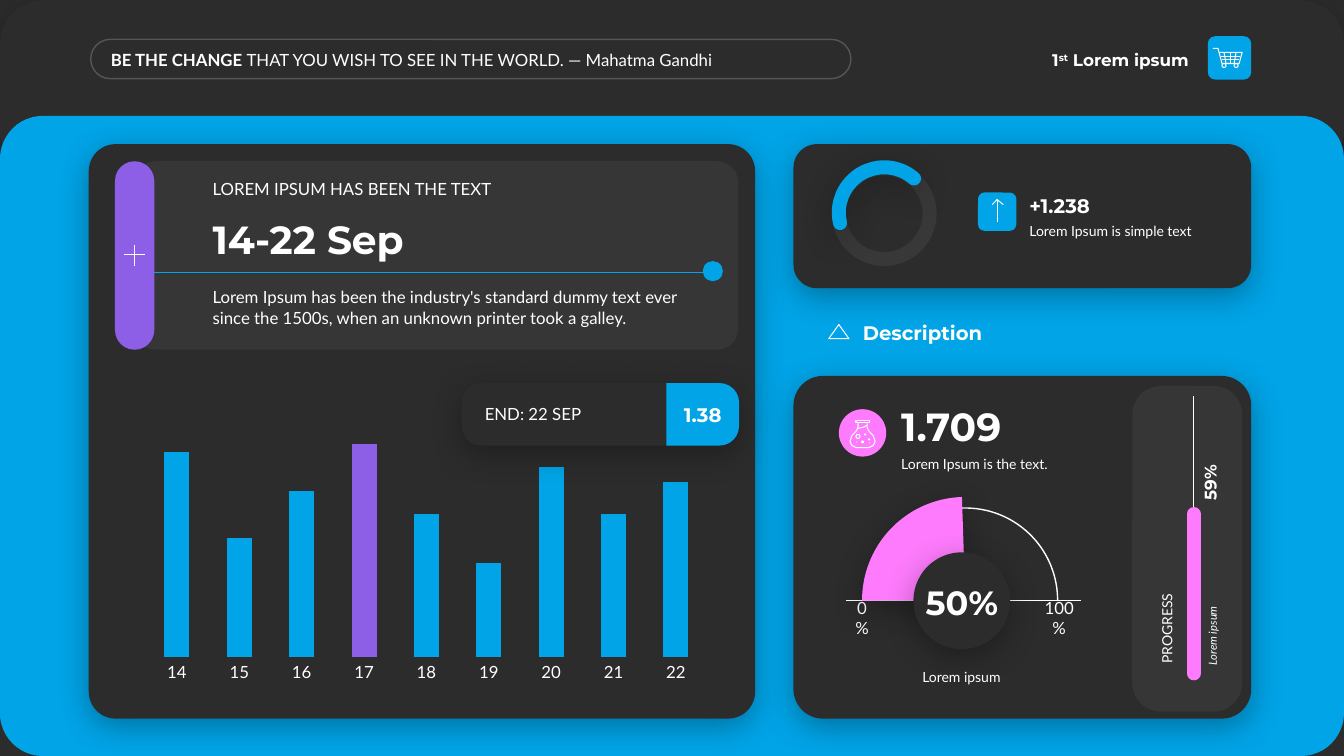
from pptx import Presentation
from pptx.chart.data import CategoryChartData
from pptx.dml.color import RGBColor
from pptx.enum import chart as ch, shapes as sh, text as tx
from pptx.oxml import parse_xml
from pptx.oxml.ns import nsdecls, qn
from pptx.util import Inches, Pt

HUES = {"dark": "2C2C2C", "blue": "01A4E7", "white": "FFFFFF",
        "violet": "8D5FE6", "pink": "FD7BFC"}
RGB = {name: RGBColor.from_string(code) for name, code in HUES.items()}
KIND = sh.MSO_SHAPE
ROUND, OVAL, ARC = KIND.ROUNDED_RECTANGLE, KIND.OVAL, KIND.ARC
LEFT, MID, RIGHT = tx.PP_ALIGN.LEFT, tx.PP_ALIGN.CENTER, tx.PP_ALIGN.RIGHT
TOP, CENTER, LOW = tx.MSO_ANCHOR.TOP, tx.MSO_ANCHOR.MIDDLE, tx.MSO_ANCHOR.BOTTOM

deck = Presentation()
deck.slide_width, deck.slide_height = Inches(13.33), Inches(7.5)
slide = deck.slides.add_slide(deck.slide_layouts[6])
slide.background.fill.solid()
slide.background.fill.fore_color.rgb = RGB["dark"]


def draw(kind, box, fill=None, line=None, width=1, adj=(), alpha=None,
         shadow=False, cap=False, rot=0):
    item = slide.shapes.add_shape(kind, *map(Inches, box))
    item.rotation = rot
    for i, value in enumerate(adj):
        item.adjustments[i] = value
    item.shadow.inherit = False
    props = item._element.spPr
    if fill:
        item.fill.solid()
        item.fill.fore_color.rgb = RGB[fill]
    else:
        item.fill.background()
    if line:
        item.line.color.rgb = RGB[line]
        item.line.width = Pt(width)
    else:
        item.line.fill.background()
    if alpha:
        tint = next(props.iter(qn("a:srgbClr")))
        tint.append(parse_xml(f'<a:alpha {nsdecls("a")} val="{alpha * 1000}"/>'))
    if shadow:
        props.find(qn("a:effectLst")).append(parse_xml(
            f'<a:outerShdw {nsdecls("a")} blurRad="{Pt(23)}" dist="{Pt(6)}" dir="5400000" '
            'algn="t" rotWithShape="0"><a:srgbClr val="000000"><a:alpha val="30000"/>'
            '</a:srgbClr></a:outerShdw>'))
    if cap:
        props.find(qn("a:ln")).set("cap", "rnd")


def put(text, box, size=12, font="Lato", bold=False, italic=False, align=LEFT,
        anchor=TOP, pad=(0.1, 0.05, 0.1, 0.05), rot=0):
    item = slide.shapes.add_textbox(*map(Inches, box))
    item.rotation = rot
    frame = item.text_frame
    frame.word_wrap = True
    frame.vertical_anchor = anchor
    (frame.margin_left, frame.margin_top,
     frame.margin_right, frame.margin_bottom) = map(Inches, pad)
    para = frame.paragraphs[0]
    para.alignment = align
    parts = [(text, bold, 0)] if isinstance(text, str) else text
    for words, heavy, raised in parts:
        run = para.add_run()
        run.text = words
        run.font.size, run.font.name = Pt(size), font
        run.font.bold, run.font.italic = heavy, italic
        run.font.color.rgb = RGB["white"]
        if raised:
            run._r.get_or_add_rPr().set("baseline", str(raised * 1000))


# Backdrop and header
draw(ROUND, (0, 0, 13.33, 1.74), "dark", adj=[0.251], shadow=True)
draw(ROUND, (0, 1.15, 13.33, 6.35), "blue", adj=[0.067])
draw(ROUND, (0.9, 0.39, 7.54, 0.39), line="white", adj=[0.5], alpha=20)
draw(ROUND, (11.98, 0.36, 0.43, 0.43), "blue")

# Cards and their inner panels
for box, adj in [((0.88, 1.43, 6.61, 5.7), 0.047), ((7.87, 1.43, 4.54, 1.43), 0.163),
                 ((7.87, 3.73, 4.54, 3.4), 0.086)]:
    draw(ROUND, box, "dark", adj=[adj], shadow=True)
for box, adj in [((1.34, 1.6, 5.98, 1.87), 0.109), ((11.23, 3.83, 1.09, 3.23), 0.261)]:
    draw(ROUND, box, "white", adj=[adj], alpha=5)

# Lines: date rule, gauge base, progress track and bar
for x1, y1, x2, y2, hue, width in [
        (1.44, 2.7, 6.97, 2.7, "blue", 0.5), (8.39, 5.96, 10.72, 5.96, "white", 1),
        (11.84, 6.68, 11.84, 3.93, "white", 0.5), (11.84, 6.68, 11.84, 5.1, "pink", 10)]:
    rule = slide.shapes.add_connector(sh.MSO_CONNECTOR.STRAIGHT,
                                      *map(Inches, (x1, y1, x2, y2)))
    rule.line.color.rgb = RGB[hue]
    rule.line.width = Pt(width)
    props = rule._element.spPr
    props.append(parse_xml(f'<a:effectLst {nsdecls("a")}/>'))
    if width == 10:
        props.find(qn("a:ln")).set("cap", "rnd")

# Date panel
draw(OVAL, (6.97, 2.59, 0.2, 0.2), "blue")
draw(ROUND, (1.14, 1.6, 0.39, 1.87), "violet", adj=[0.5])

# Column chart
data = CategoryChartData()
data.categories = [str(day) for day in range(14, 23)]
data.add_series("Series 1", (96, 56, 78, 100, 67, 44, 89, 67, 82))
chart = slide.shapes.add_chart(ch.XL_CHART_TYPE.COLUMN_CLUSTERED,
                               *map(Inches, (1.33, 4.11, 5.8, 2.71)), data).chart
chart.has_legend = chart.has_title = False
chart.font.size, chart.font.name = Pt(12), "Lato"
chart.font.color.rgb = RGB["white"]
days, scale = chart.category_axis, chart.value_axis
days.major_tick_mark = ch.XL_TICK_MARK.NONE
days.format.line.fill.background()
scale.visible = scale.has_major_gridlines = False
scale.minimum_scale, scale.maximum_scale = 0, 110
plot = chart.plots[0]
plot.gap_width, plot.vary_by_categories = 150, False
bars = plot.series[0]
for target, hue in [(bars, "blue"), (bars.points[3], "violet")]:
    target.format.fill.solid()
    target.format.fill.fore_color.rgb = RGB[hue]
area = next(chart._chartSpace.iter(qn("c:plotArea")))
for old in area.findall(qn("c:layout")):
    area.remove(old)
area.insert(0, parse_xml(
    f'<c:layout {nsdecls("c")}><c:manualLayout><c:layoutTarget val="inner"/>'
    '<c:xMode val="edge"/><c:yMode val="edge"/><c:x val="0.02"/><c:y val="0.03"/>'
    '<c:w val="0.96"/><c:h val="0.86"/></c:manualLayout></c:layout>'))

# End-date tag
draw(ROUND, (4.58, 3.8, 2.74, 0.62), "dark", adj=[0.311], shadow=True)
draw(KIND.ROUND_2_SAME_RECTANGLE, (6.66, 3.75, 0.62, 0.72), "blue", adj=[0.311, 0], rot=90)

# Ring and growth badge
draw(OVAL, (8.32, 1.67, 0.9, 0.9), line="white", width=10, alpha=5)
draw(ARC, (8.32, 1.66, 0.9, 0.9), line="blue", width=10, adj=[100.012, 186.693],
     shadow=True, cap=True)
draw(ROUND, (9.7, 1.91, 0.38, 0.38), "blue")

# Gauge
draw(OVAL, (8.32, 4.06, 0.47, 0.47), "pink")
draw(ARC, (8.66, 5.04, 1.83, 1.83), line="white", adj=[107.892, 0])
for label, left, width in [("0%", 8.45, 0.2), ("100%", 10.32, 0.37)]:
    put(label, (left, 6.04, width, 0.17), align=MID, anchor=CENTER, pad=(0, 0, 0, 0))
draw(ARC, (8.55, 4.93, 2.05, 2.05), "pink", adj=[107.892, 160.843], shadow=True)
draw(OVAL, (9.06, 5.48, 0.96, 0.96), "dark", shadow=True)

# Icons: each is a list of strokes
half = [(8.51, 4.2), (8.51, 4.24), (8.49, 4.28), (8.45, 4.32), (8.43, 4.38),
        (8.45, 4.42), (8.49, 4.44)]
flask = half + [(17.11 - x, y) for x, y in reversed(half)]
icons = {
    "cart": [[(12.03, 0.48), (12.08, 0.48), (12.12, 0.63), (12.29, 0.63),
              (12.32, 0.52), (12.1, 0.52)],
             [(12.14, 0.52), (12.16, 0.63)], [(12.2, 0.52), (12.2, 0.63)],
             [(12.26, 0.52), (12.24, 0.63)], [(12.11, 0.56), (12.3, 0.56)],
             [(12.12, 0.59), (12.29, 0.59)]],
    "plus": [[(1.23, 2.53), (1.44, 2.53)], [(1.33, 2.43), (1.33, 2.64)]],
    "arrow": [[(9.89, 2.2), (9.89, 1.98)], [(9.84, 2.03), (9.89, 1.98), (9.95, 2.03)]],
    "peak": [[(8.32, 3.22), (8.42, 3.36), (8.22, 3.36), (8.32, 3.22)]],
    "flask": [flask, [(8.49, 4.17), (8.62, 4.17), (8.62, 4.19), (8.49, 4.19), (8.49, 4.17)],
              [(8.51, 4.25), (8.56, 4.24), (8.6, 4.22)]],
}
for strokes in icons.values():
    pen = None
    for stroke in strokes:
        first, *rest = [(Inches(x), Inches(y)) for x, y in stroke]
        if pen is None:
            pen = slide.shapes.build_freeform(*first)
        else:
            pen.move_to(*first)
        pen.add_line_segments(rest, close=False)
    icon = pen.convert_to_shape()
    icon.shadow.inherit = False
    icon.fill.background()
    icon.line.color.rgb = RGB["white"]
    icon.line.width = Pt(0.75)
for x, y, size in [(12.12, 0.63, 0.04), (12.24, 0.63, 0.04), (8.49, 4.31, 0.04)]:
    draw(OVAL, (x, y, size, size), line="white", width=0.75)
for x, y, size in [(8.49, 4.38, 0.01), (8.62, 4.39, 0.01), (8.61, 4.35, 0.02),
                   (8.57, 4.3, 0.02), (8.54, 4.37, 0.03)]:
    draw(OVAL, (x, y, size, size), "white")

# Text
BOLD = {"font": "Montserrat", "bold": True}
SLIM = (0.04, 0.05, 0.04, 0.05)
FLAT = (0, 0.05, 0, 0.05)
put([("BE THE CHANGE ", True, 0),
     ("THAT YOU WISH TO SEE IN THE WORLD. ― Mahatma Gandhi", False, 0)],
    (1.06, 0.44, 7.26, 0.3), anchor=CENTER, pad=SLIM)
put([("1", True, 0), ("st", True, 30), (" Lorem ipsum", True, 0)],
    (9.89, 0.44, 2, 0.3), font="Montserrat", align=RIGHT, anchor=CENTER)
put("LOREM IPSUM HAS BEEN THE TEXT", (2.01, 1.72, 5.1, 0.3), anchor=LOW)
put("14-22 Sep", (2.01, 2.08, 5.1, 0.57), 28, anchor=LOW, **BOLD)
put("Lorem Ipsum has been the industry's standard dummy text ever since the 1500s, "
    "when an unknown printer took a galley.", (2.01, 2.8, 5.1, 0.5))
put("END: 22 SEP", (4.71, 3.96, 1.96, 0.3), anchor=CENTER)
put("1.38", (6.61, 3.94, 0.72, 0.34), 14, align=MID, anchor=CENTER, pad=SLIM, **BOLD)
put("+1.238", (10.21, 1.87, 1.97, 0.34), 14, anchor=LOW, pad=FLAT, **BOLD)
put("Lorem Ipsum is simple text", (10.21, 2.16, 1.97, 0.27), 10, pad=FLAT)
put("Description", (8.46, 3.13, 3.3, 0.34), 14, anchor=CENTER, **BOLD)
put("1.709", (8.84, 3.94, 1.79, 0.57), 28, anchor=LOW, **BOLD)
put("Lorem Ipsum is the text.", (8.84, 4.47, 1.79, 0.27), 10)
put("50%", (9, 5.72, 1.08, 0.5), 24, align=MID, anchor=LOW, **BOLD)
put("Lorem ipsum", (8.33, 6.58, 2.41, 0.27), 10, align=MID)
put("Lorem ipsum", (11.07, 5.6, 1.92, 0.24), 8, italic=True, rot=270,
    pad=(0.08, 0.05, 0.1, 0.05))
put("59%", (11.51, 4.42, 0.98, 0.3), anchor=LOW, rot=270, pad=(0.1, 0.05, 0.04, 0.05), **BOLD)
put("PROGRESS", (10.61, 5.59, 1.92, 0.27), 10, anchor=LOW, rot=270)

deck.save("out.pptx")
